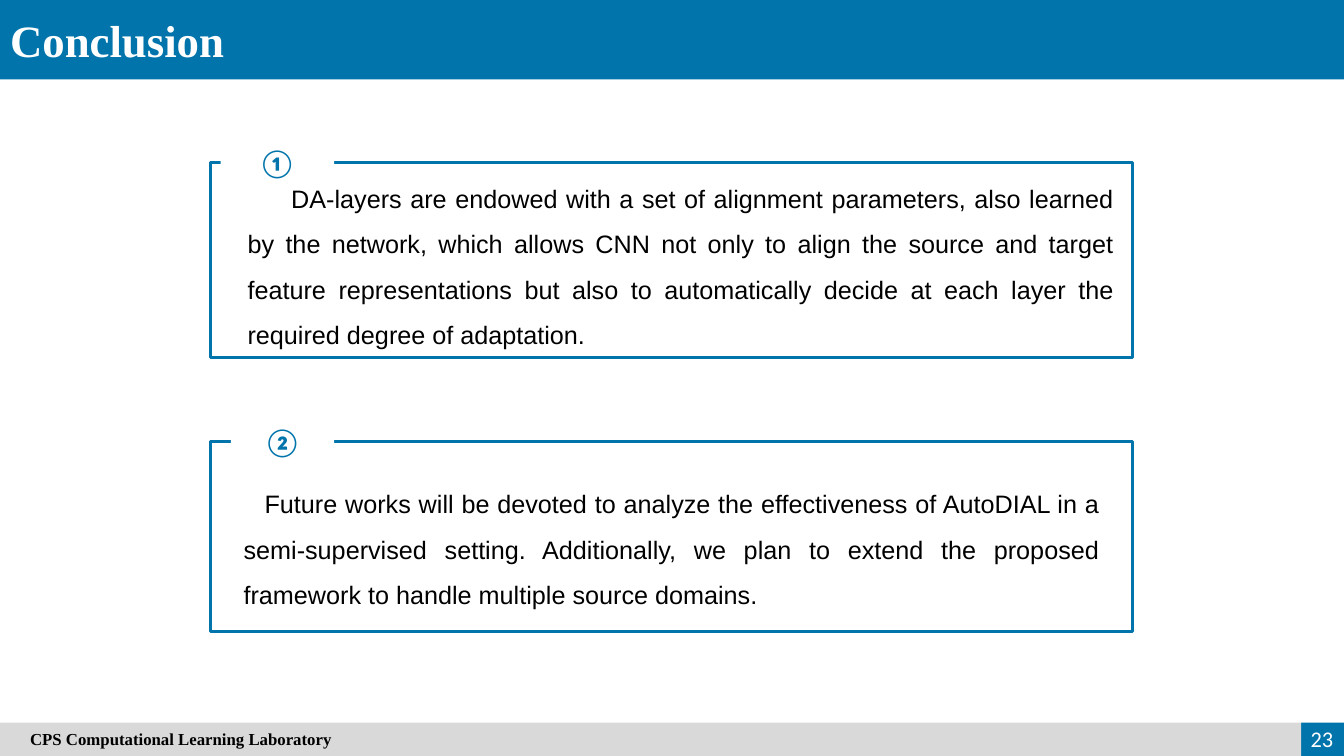
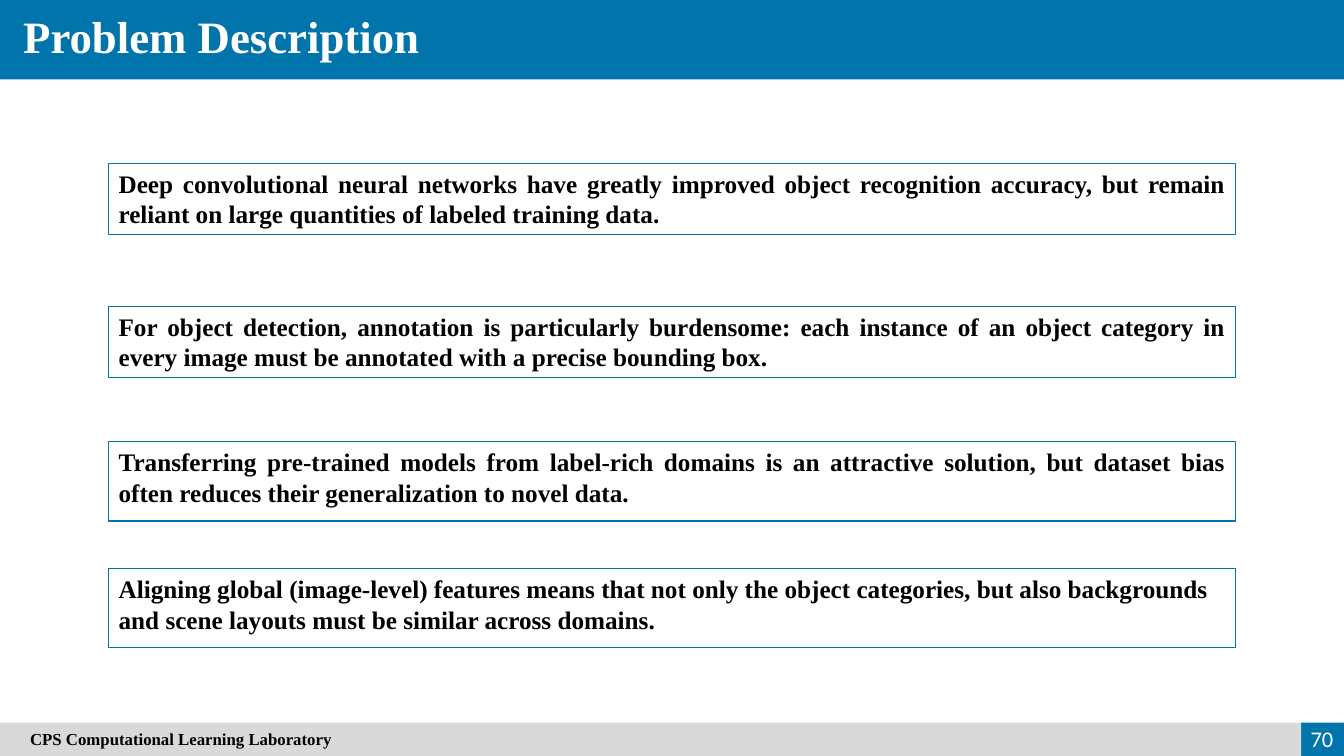
from pptx import Presentation
from pptx.dml.color import RGBColor
from pptx.enum import shapes, text
from pptx.util import Cm, Pt

# Content
FOOTER = "CPS Computational Learning Laboratory"
CONCLUSION = dict(title="Conclusion", title_at=(0, 0.2), number="23")
# Frame top and height, label mark and left, text box, first-line indent, text
CONCLUSIONS = [
    dict(top=4.09, height=4.93, mark="①", mark_left=5.56,
         text_at=(5.99, 4.11, 22.33, 4.72), indent=1.1,
         text="DA-layers are endowed with a set of alignment parameters, also learned "
              "by the network, which allows CNN not only to align the source and target "
              "feature representations but also to automatically decide at each layer "
              "the required degree of adaptation."),
    dict(top=11.13, height=4.78, mark="②", mark_left=5.82,
         text_at=(5.89, 11.81, 22.07, 3.61), indent=0.53,
         text="Future works will be devoted to analyze the effectiveness of AutoDIAL in "
              "a semi-supervised setting. Additionally, we plan to extend the proposed "
              "framework to handle multiple source domains."),
]
PROBLEM = dict(title="Problem Description", title_at=(0.33, 0.08), number="70")
# Top, height, alignment, text
PROBLEMS = [
    (4.11, 1.8, "JUSTIFY",
     "Deep convolutional neural networks have greatly improved object recognition "
     "accuracy, but remain reliant on large quantities of labeled training data."),
    (7.72, 1.8, "JUSTIFY",
     "For object detection, annotation is particularly burdensome: each instance of an "
     "object category in every image must be annotated with a precise bounding box."),
    (11.13, 2, "JUSTIFY",
     "Transferring pre-trained models from label-rich domains is an attractive solution, "
     "but dataset bias often reduces their generalization to novel data."),
    (14.33, 2, "LEFT",
     "Aligning global (image-level) features means that not only the object categories, "
     "but also backgrounds and scene layouts must be similar across domains."),
]

# Shared style
COLORS = dict(blue="0174AB", grey="D9D9D9", white="FFFFFF", black="000000")
STYLES = dict(
    title=dict(name="Times New Roman", size=Pt(32), bold=True, color="white"),
    footer=dict(name="Times New Roman", size=Pt(12), bold=True, color="black"),
    number=dict(name="Calibri", size=Pt(16), bold=False, color="white"),
    mark=dict(name="Calibri", size=Pt(20), bold=True, color="blue"),
    body=dict(name="Arial", size=Pt(18), bold=False, color="black"),
    problem=dict(name="Times New Roman", size=Pt(18), bold=True, color="black"),
)
WIDTH, HEIGHT = 33.87, 19.05
BAND_H, FOOTER_H, NUMBER_W = 2, 0.84, 1.08
FRAME_LEFT, FRAME_W = 5.31, 23.24
MARK_RIGHT, MARK_H, MARK_RISE = 8.42, 1.4, 0.71
PROBLEM_LEFT, PROBLEM_W = 2.74, 28.4


def color(name):
    return RGBColor.from_string(COLORS[name])


def add_box(s, at, fill=None, line=None, weight=0.75):
    sp = s.shapes.add_shape(shapes.MSO_SHAPE.RECTANGLE, *map(Cm, at))
    sp.shadow.inherit = False
    if fill:
        sp.fill.solid()
        sp.fill.fore_color.rgb = color(fill)
    else:
        sp.fill.background()
    if line:
        sp.line.color.rgb = color(line)
        sp.line.width = Pt(weight)
    else:
        sp.line.fill.background()
    return sp


def write(sp, words, style, align="LEFT", anchor="TOP"):
    tf = sp.text_frame
    tf.word_wrap = True
    tf.auto_size = text.MSO_AUTO_SIZE.NONE
    tf.vertical_anchor = getattr(text.MSO_ANCHOR, anchor)
    p = tf.paragraphs[0]
    p.alignment = getattr(text.PP_ALIGN, align)
    r = p.add_run()
    r.text = words
    for key, value in STYLES[style].items():
        if key == "color":
            r.font.color.rgb = color(value)
        else:
            setattr(r.font, key, value)
    return p


def add_slide(prs, title, title_at, number):
    s = prs.slides.add_slide(prs.slide_layouts[5])
    # Title over its band
    sp = s.shapes.title
    sp.left, sp.top, sp.width, sp.height = map(Cm, (*title_at, 13.64, 1.63))
    write(sp, title, "title")
    band = add_box(s, (0, 0, WIDTH, BAND_H), "blue")
    sp._element.addprevious(band._element)
    # Footer and slide number
    top, split = HEIGHT - FOOTER_H, WIDTH - NUMBER_W
    add_box(s, (split, top, NUMBER_W, FOOTER_H), "blue")
    sp = add_box(s, (0, top, split, FOOTER_H), "grey")
    sp.text_frame.margin_left = Cm(0.76)
    write(sp, FOOTER, "footer", anchor="MIDDLE")
    sp = s.shapes.add_textbox(*map(Cm, (WIDTH - 1.62, top - 0.1, 1.6, 1.02)))
    write(sp, number, "number", "RIGHT", "MIDDLE")
    return s


def build_conclusion(prs):
    s = add_slide(prs, **CONCLUSION)
    for item in CONCLUSIONS:
        top, left = item["top"], item["mark_left"]
        add_box(s, (FRAME_LEFT, top, FRAME_W, item["height"]), line="blue", weight=2.25)
        sp = add_box(s, (left, top - MARK_RISE, MARK_RIGHT - left, MARK_H), "white")
        write(sp, item["mark"], "mark", "CENTER", "MIDDLE")
        sp = s.shapes.add_textbox(*map(Cm, item["text_at"]))
        p = write(sp, item["text"], "body", "JUSTIFY")
        p.line_spacing = 1.5
        p._p.get_or_add_pPr().set("indent", str(Cm(item["indent"])))


def build_problem(prs):
    s = add_slide(prs, **PROBLEM)
    for top, height, align, words in PROBLEMS:
        sp = add_box(s, (PROBLEM_LEFT, top, PROBLEM_W, height), line="blue")
        write(sp, words, "problem", align)


def main():
    prs = Presentation()
    prs.slide_width, prs.slide_height = Cm(WIDTH), Cm(HEIGHT)
    build_conclusion(prs)
    build_problem(prs)
    prs.save("out.pptx")


if __name__ == "__main__":
    main()
